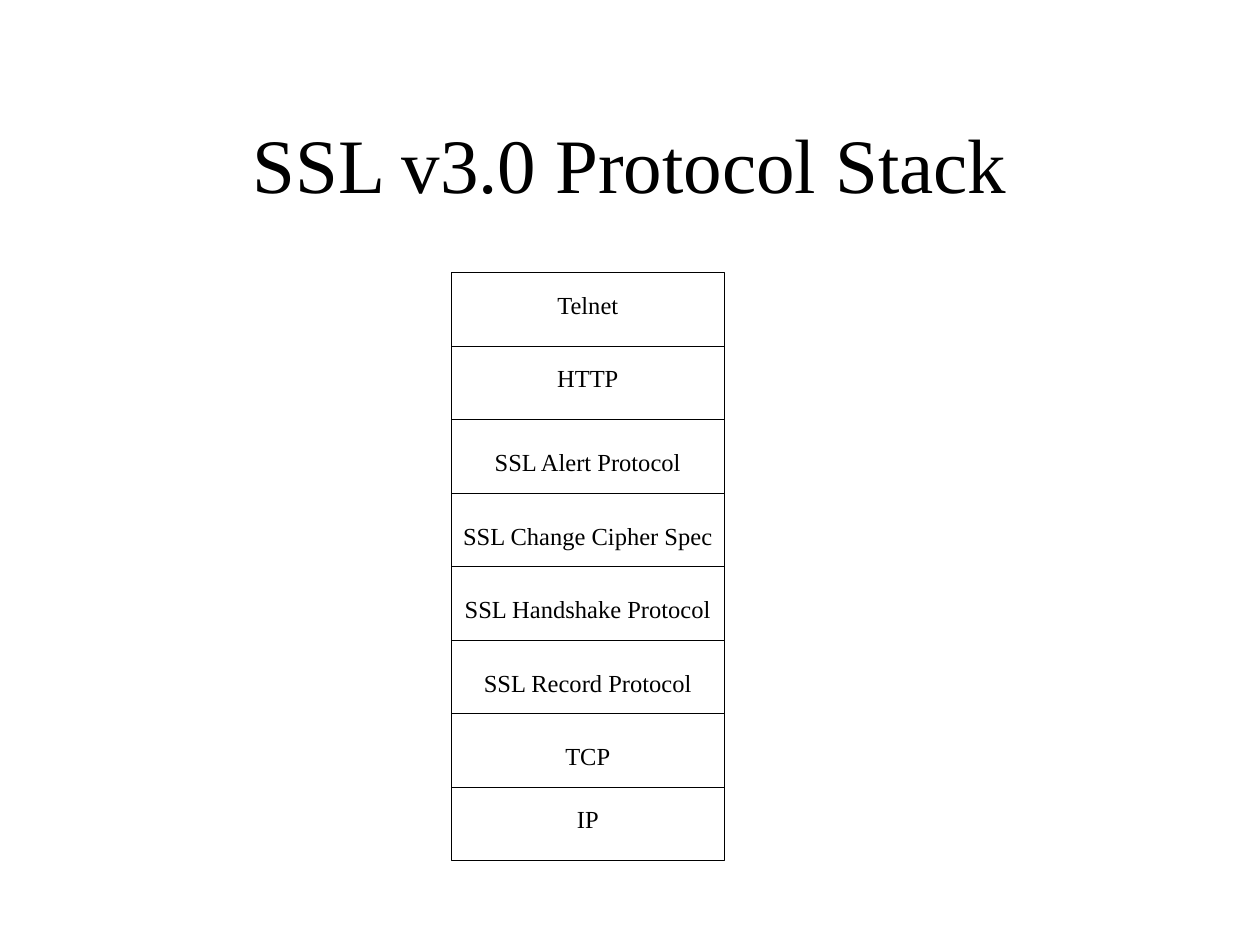
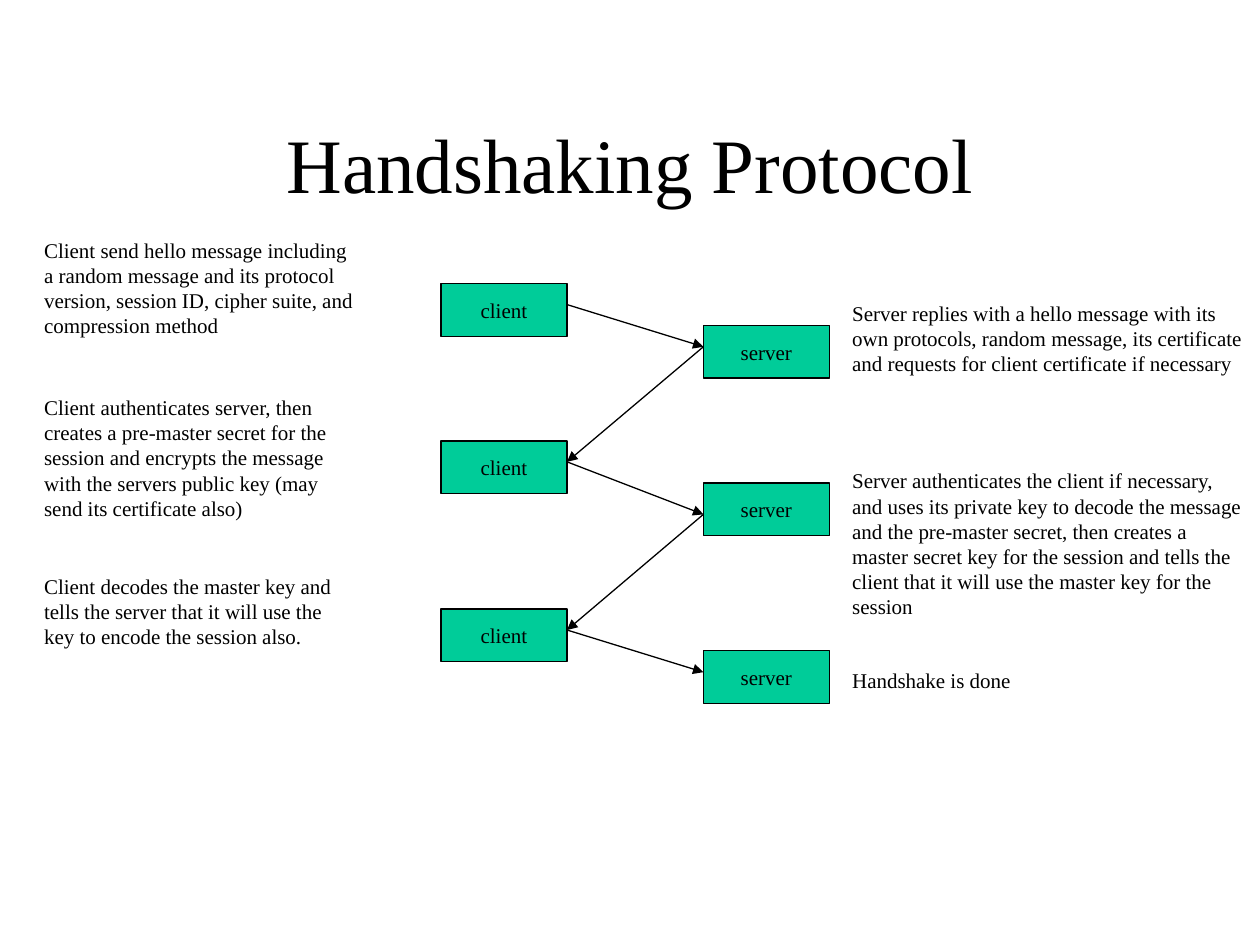
from dataclasses import dataclass
from itertools import pairwise

from lxml.etree import SubElement
from pptx import Presentation
from pptx.dml.color import RGBColor
from pptx.enum.shapes import MSO_CONNECTOR as Connector, MSO_SHAPE as Shape
from pptx.enum.text import MSO_ANCHOR as Anchor, PP_ALIGN as Align
from pptx.oxml.ns import qn
from pptx.util import Cm, Pt


@dataclass(frozen=True)
class Theme:
    font: str = "Times New Roman"
    ink: RGBColor = RGBColor(0, 0, 0)
    party_fill: RGBColor = RGBColor(0x00, 0xCC, 0x99)
    title_size: int = 44
    layer_size: int = 14
    body_size: int = 12
    line_width: float = 0.75


@dataclass(frozen=True)
class Step:
    """One turn of the handshake; vertical places are in centimetres."""
    party: str
    box_top: float
    message_y: float
    note_top: float
    note_height: float
    note: str


@dataclass(frozen=True)
class Side:
    """Horizontal places, in centimetres, of one party's column."""
    box_left: float
    message_x: float
    note_left: float
    note_width: float


THEME = Theme()
TITLE_ONLY = 5

STACK_LEFT, STACK_TOP = 9.1, 5.5
LAYER_WIDTH, LAYER_HEIGHT = 5.5, 11.85 / 8
HIGH, LOW = 0.34, 0.55  # space above a layer's label
LAYERS = [
    ("Telnet", HIGH),
    ("HTTP", HIGH),
    ("SSL Alert Protocol", LOW),
    ("SSL Change Cipher Spec", LOW),
    ("SSL Handshake Protocol", LOW),
    ("SSL Record Protocol", LOW),
    ("TCP", LOW),
    ("IP", HIGH),
]

PARTY_WIDTH, PARTY_HEIGHT = 2.54, 1.06
SIDES = {
    "client": Side(8.89, 8.89 + PARTY_WIDTH, 0.64, 6.77),
    "server": Side(14.18, 14.18, 16.93, 8.47),
}
STEPS = [
    Step("client", 5.72, 6.14, 4.66, 2.29,
         "Client send hello message including a random message and its "
         "protocol version, session ID, cipher suite, and compression method"),
    Step("server", 6.56, 6.99, 5.93, 1.78,
         "Server replies with a hello message with its own protocols, random "
         "message, its certificate and requests for client certificate if "
         "necessary"),
    Step("client", 8.89, 9.31, 7.83, 2.79,
         "Client authenticates server, then creates a pre-master secret for "
         "the session and encrypts the message with the servers public key "
         "(may send its certificate also)"),
    Step("server", 9.74, 10.37, 9.31, 3.3,
         "Server authenticates the client if necessary, and uses its private "
         "key to decode the message and the pre-master secret, then creates a "
         "master secret key for the session and tells the client that it will "
         "use the master key for the session"),
    Step("client", 12.28, 12.7, 11.43, 1.78,
         "Client decodes the master key and tells the server that it will use "
         "the key to encode the session also."),
    Step("server", 13.12, 13.55, 13.34, 0.76, "Handshake is done"),
]


def write(frame, text, size, align=Align.LEFT, anchor=Anchor.TOP, wrap=True):
    frame.text = text
    frame.word_wrap = wrap
    frame.vertical_anchor = anchor
    paragraph = frame.paragraphs[0]
    paragraph.alignment = align
    font = paragraph.runs[0].font
    font.name, font.size, font.color.rgb = THEME.font, Pt(size), THEME.ink


def draw_in_ink(line):
    line.color.rgb = THEME.ink
    line.width = Pt(THEME.line_width)


def add_titled_slide(deck, text):
    slide = deck.slides.add_slide(deck.slide_layouts[TITLE_ONLY])
    title = slide.shapes.title
    title.left, title.top = Cm(1.9), Cm(1.7)
    title.width, title.height = Cm(21.6), Cm(3.17)
    write(title.text_frame, text, THEME.title_size, Align.CENTER, Anchor.MIDDLE)
    return slide


def add_box(slide, left, top, width, height, fill=None):
    box = slide.shapes.add_shape(
        Shape.RECTANGLE, Cm(left), Cm(top), Cm(width), Cm(height))
    box.shadow.inherit = False
    if fill is None:
        box.fill.background()
    else:
        box.fill.solid()
        box.fill.fore_color.rgb = fill
    draw_in_ink(box.line)
    return box


def add_layer(slide, level, label, space_above):
    layer = add_box(slide, STACK_LEFT, STACK_TOP + level * LAYER_HEIGHT,
                    LAYER_WIDTH, LAYER_HEIGHT)
    layer.text_frame.margin_top = Cm(space_above)
    write(layer.text_frame, label, THEME.layer_size, Align.CENTER, wrap=False)


def add_party(slide, step):
    party = add_box(slide, SIDES[step.party].box_left, step.box_top,
                    PARTY_WIDTH, PARTY_HEIGHT, THEME.party_fill)
    write(party.text_frame, step.party, THEME.body_size,
          Align.CENTER, Anchor.MIDDLE, wrap=False)


def add_note(slide, step):
    side = SIDES[step.party]
    note = slide.shapes.add_textbox(Cm(side.note_left), Cm(step.note_top),
                                    Cm(side.note_width), Cm(step.note_height))
    write(note.text_frame, step.note, THEME.body_size)


def add_message(slide, sender, receiver):
    """Draw the arrow from one step to the next."""
    message = slide.shapes.add_connector(
        Connector.STRAIGHT,
        Cm(SIDES[sender.party].message_x), Cm(sender.message_y),
        Cm(SIDES[receiver.party].message_x), Cm(receiver.message_y))
    draw_in_ink(message.line)
    SubElement(message.line._get_or_add_ln(), qn("a:tailEnd"), type="triangle")
    SubElement(message._element.spPr, qn("a:effectLst"))


def build_protocol_stack(deck):
    slide = add_titled_slide(deck, "SSL v3.0 Protocol Stack")
    for level, (label, space_above) in enumerate(LAYERS):
        add_layer(slide, level, label, space_above)


def build_handshake(deck):
    slide = add_titled_slide(deck, "Handshaking Protocol")
    for step in STEPS:
        add_party(slide, step)
        add_note(slide, step)
    for sender, receiver in pairwise(STEPS):
        add_message(slide, sender, receiver)


def main():
    deck = Presentation()
    deck.slide_width, deck.slide_height = Cm(25.4), Cm(19.05)
    build_protocol_stack(deck)
    build_handshake(deck)
    deck.save("out.pptx")


if __name__ == "__main__":
    main()
